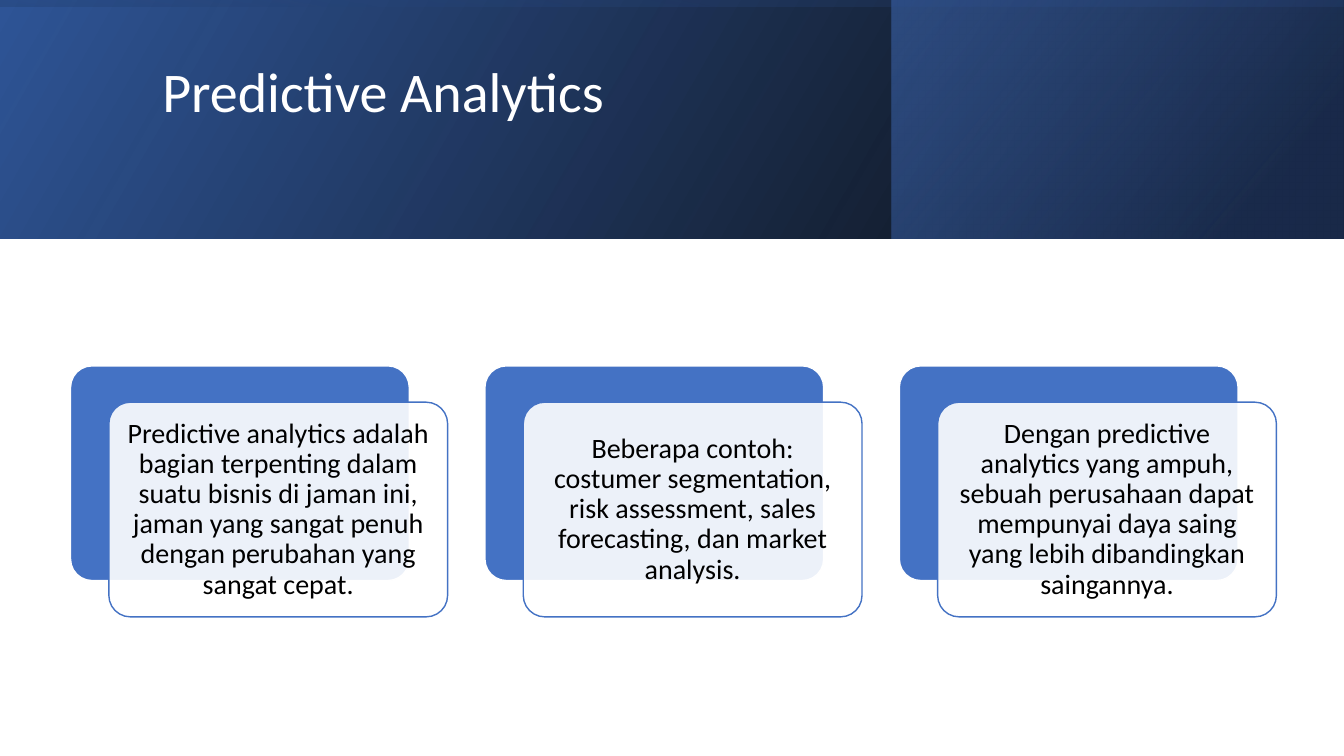
from dataclasses import dataclass

import lxml.etree
import pptx
import pptx.dml.color
import pptx.enum.shapes
import pptx.enum.text
import pptx.oxml.ns
import pptx.util

Inches = pptx.util.Inches
Pt = pptx.util.Pt
SHAPES = pptx.enum.shapes.MSO_SHAPE
ALIGN = pptx.enum.text.PP_ALIGN
MIDDLE = pptx.enum.text.MSO_ANCHOR.MIDDLE

WIDTH, HEIGHT = 13.33, 7.5
BANNER_HEIGHT = 2.37
BLUE, WHITE, BLACK = "4472C4", "FFFFFF", "000000"


@dataclass
class Stop:
    """A gradient stop: position and opacity in percent."""
    position: int
    color: str
    opacity: int


@dataclass
class Banner:
    """A mirrored gradient rectangle of the header."""
    left: float
    top: float
    width: float
    height: float
    angle: int
    stops: tuple[Stop, Stop]
    rotation: int = 0


BANNERS = [
    Banner(0, 0, WIDTH, BANNER_HEIGHT, 330,
           (Stop(0, BLACK, 96), Stop(100, "2F5597", 100))),
    Banner(8.84, 0, 4.48, BANNER_HEIGHT, 320,
           (Stop(19, "203864", 68), Stop(100, BLUE, 48))),
    Banner(5.48, -5.48, BANNER_HEIGHT, WIDTH, 350,
           (Stop(23, "2F5597", 16), Stop(99, BLACK, 45)), rotation=270),
]
# The first banner fades from nearly opaque black to solid blue.

CARD_TEXTS = [
    "Predictive analytics adalah bagian terpenting dalam suatu bisnis di jaman ini, "
    "jaman yang sangat penuh dengan perubahan yang sangat cepat.",
    "Beberapa contoh: costumer segmentation, risk assessment, sales forecasting, "
    "dan market analysis.",
    "Dengan predictive analytics yang ampuh, sebuah perusahaan dapat mempunyai "
    "daya saing yang lebih dibandingkan saingannya.",
]
CARD_LEFT, CARD_TOP, CARD_PITCH = 0.7, 3.63, 4.11
CARD_WIDTH, CARD_HEIGHT = 3.36, 2.13
CARD_SHIFT_X, CARD_SHIFT_Y = 0.38, 0.36


def rgb(color: str) -> pptx.dml.color.RGBColor:
    """Turn a hex string into a colour."""
    return pptx.dml.color.RGBColor.from_string(color)


def set_opacity(color_element, percent: int) -> None:
    """Add an opacity to a colour element."""
    alpha = lxml.etree.SubElement(color_element, pptx.oxml.ns.qn("a:alpha"))
    alpha.set("val", str(percent * 1000))


def add_banner(slide, banner: Banner) -> None:
    """Draw one gradient rectangle."""
    shape = slide.shapes.add_shape(
        SHAPES.RECTANGLE, Inches(banner.left), Inches(banner.top),
        Inches(banner.width), Inches(banner.height))
    shape.shadow.inherit = False
    shape.line.fill.background()
    shape.rotation = banner.rotation
    shape._element.spPr.xfrm.set("flipH", "1")
    shape.fill.gradient()
    shape.fill.gradient_angle = 360 - banner.angle
    for target, stop in zip(shape.fill.gradient_stops, banner.stops):
        target.position = stop.position / 100
        target.color.rgb = rgb(stop.color)
    colors = shape._element.spPr.findall(".//" + pptx.oxml.ns.qn("a:srgbClr"))
    for color_element, stop in zip(colors, banner.stops):
        set_opacity(color_element, stop.opacity)


def style_paragraph(paragraph, size: int, color: str, alignment) -> None:
    """Set font, alignment and line spacing of a paragraph."""
    paragraph.alignment = alignment
    paragraph.line_spacing = 0.9
    paragraph.font.name = "Calibri"
    paragraph.font.size = Pt(size)
    paragraph.font.color.rgb = rgb(color)


def write_title(slide, text: str) -> None:
    """Place the title in front of the banners."""
    title = slide.shapes.title
    title.left, title.top = Inches(1.51), Inches(0.38)
    title.width, title.height = Inches(10.63), Inches(1.72)
    frame = title.text_frame
    frame.text = text
    frame.vertical_anchor = MIDDLE
    frame.margin_bottom = Inches(0.66)
    style_paragraph(frame.paragraphs[0], 40, WHITE, ALIGN.LEFT)
    slide.shapes._spTree.append(title._element)


def add_panel(slide, left: float, top: float, fill: str, line: str):
    """Draw one rounded panel of a card and return it."""
    panel = slide.shapes.add_shape(
        SHAPES.ROUNDED_RECTANGLE, Inches(left), Inches(top),
        Inches(CARD_WIDTH), Inches(CARD_HEIGHT))
    panel.adjustments[0] = 0.1
    panel.shadow.inherit = False
    panel.fill.solid()
    panel.fill.fore_color.rgb = rgb(fill)
    panel.line.color.rgb = rgb(line)
    panel.line.width = Pt(1)
    return panel


def add_card(slide, left: float, text: str) -> None:
    """Draw a blue panel with a translucent text panel over it."""
    add_panel(slide, left, CARD_TOP, BLUE, WHITE)
    front = add_panel(slide, left + CARD_SHIFT_X, CARD_TOP + CARD_SHIFT_Y, WHITE, BLUE)
    fill = front._element.spPr.find(pptx.oxml.ns.qn("a:solidFill"))
    set_opacity(fill[0], 90)
    frame = front.text_frame
    frame.word_wrap = True
    frame.vertical_anchor = MIDDLE
    frame.margin_left = frame.margin_right = Inches(0.08)
    frame.margin_top = frame.margin_bottom = Inches(0.08)
    frame.text = text
    style_paragraph(frame.paragraphs[0], 20, BLACK, ALIGN.CENTER)


deck = pptx.Presentation()
deck.slide_width, deck.slide_height = Inches(WIDTH), Inches(HEIGHT)
page = deck.slides.add_slide(deck.slide_layouts[5])
for header_banner in BANNERS:
    add_banner(page, header_banner)
write_title(page, "Predictive Analytics")
for index, card_text in enumerate(CARD_TEXTS):
    add_card(page, CARD_LEFT + index * CARD_PITCH, card_text)
deck.save("out.pptx")
